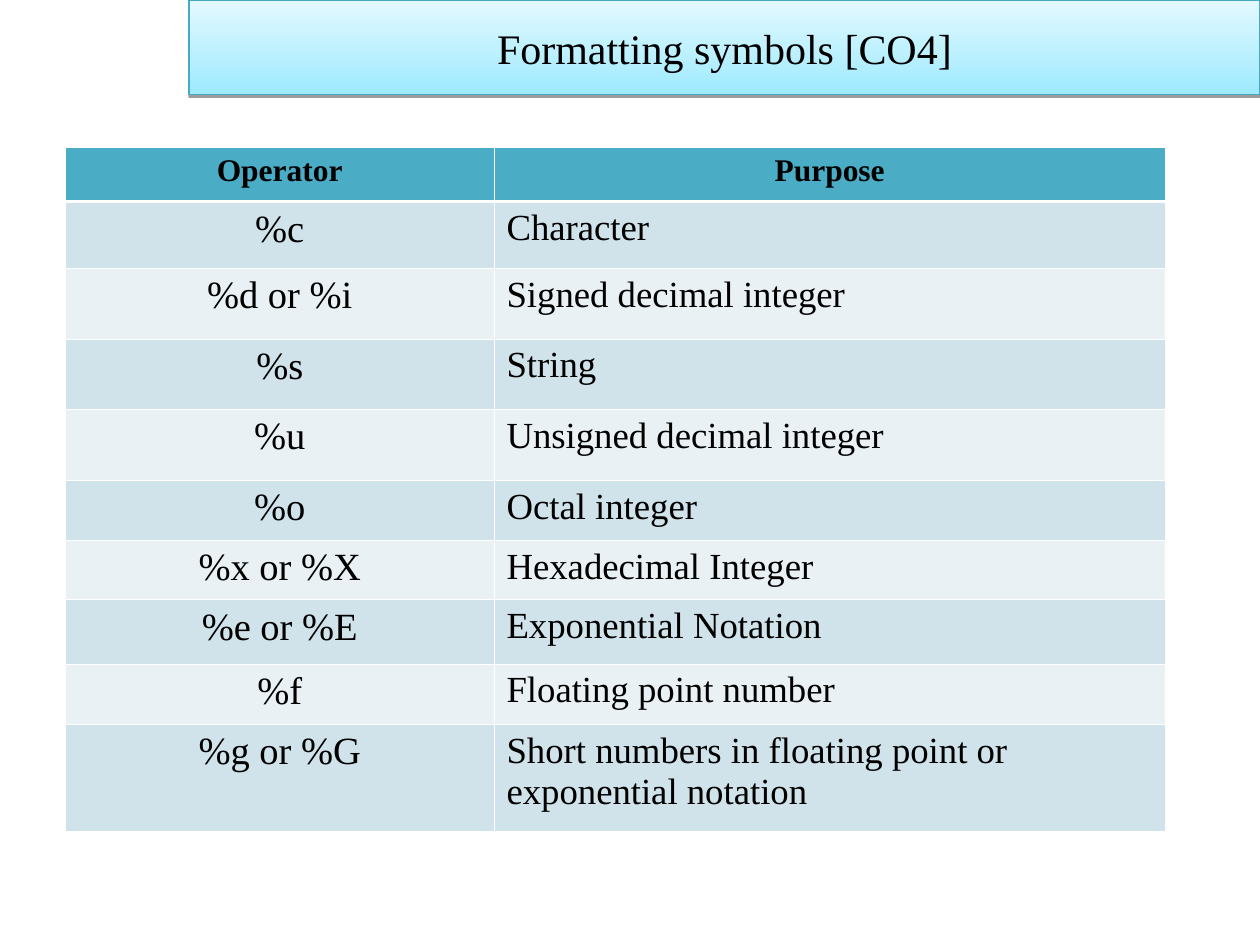
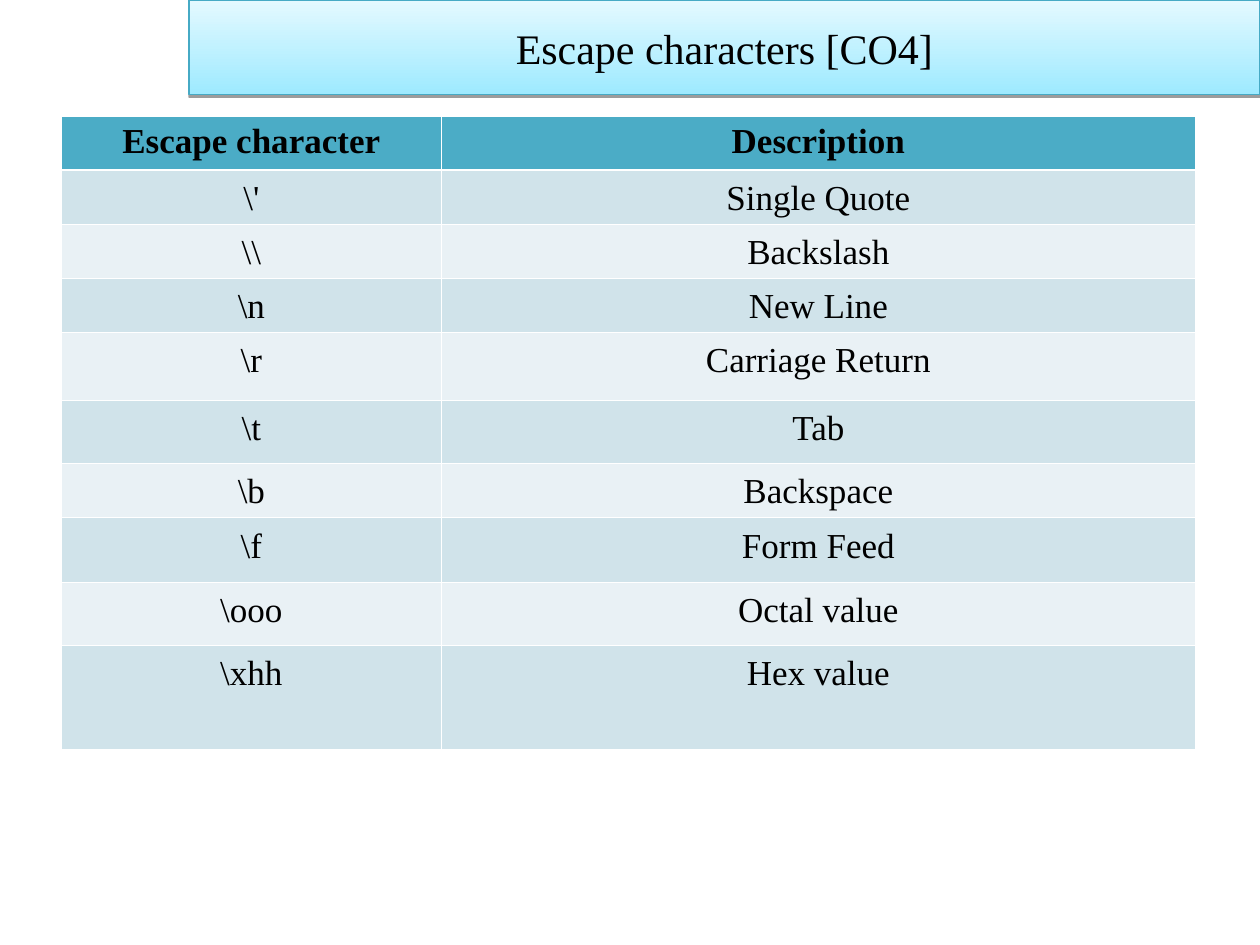
from lxml.etree import SubElement
from pptx import Presentation
from pptx.dml.color import RGBColor
from pptx.enum.text import MSO_ANCHOR, MSO_AUTO_SIZE, PP_ALIGN
from pptx.oxml import parse_xml
from pptx.oxml.ns import nsdecls, qn
from pptx.util import Inches, Pt

FONT = "Times New Roman"
COLORS = {
    "text": "000000",
    "border": "FFFFFF",
    "header": "4BACC6",
    "odd_row": "D0E3EA",
    "even_row": "E9F1F5",
    "band_bottom": "9EEAFF",
    "band_top": "E4F9FF",
    "band_line": "46AAC5",
}
THIN, THICK = 0.45, 1.47

SLIDES = [
    {
        "title": "Formatting symbols [CO4]",
        "position": (0.52, 1.17),
        "columns": (3.4, 5.33),
        "heights": (0.43, 0.53, 0.56, 0.56, 0.56, 0.48, 0.47, 0.51, 0.48, 0.85),
        "header_size": 18,
        "body_sizes": (22, 21),
        "body_aligns": (PP_ALIGN.CENTER, PP_ALIGN.LEFT),
        "body_margin": 0.1,
        "body_spacing": 1.0,
        "rows": [
            ("Operator", "Purpose"),
            ("%c", "Character"),
            ("%d or %i", "Signed decimal integer"),
            ("%s", "String"),
            ("%u", "Unsigned decimal integer"),
            ("%o", "Octal integer"),
            ("%x or %X", "Hexadecimal Integer"),
            ("%e or %E", "Exponential Notation"),
            ("%f", "Floating point number"),
            ("%g or %G", "Short numbers in floating point or exponential notation"),
        ],
    },
    {
        "title": "Escape characters [CO4]",
        "position": (0.49, 0.92),
        "columns": (3.01, 5.99),
        "heights": (0.43, 0.43, 0.43, 0.43, 0.54, 0.5, 0.43, 0.51, 0.5, 0.83),
        "header_size": 20,
        "body_sizes": (20, 20),
        "body_aligns": (PP_ALIGN.CENTER, PP_ALIGN.CENTER),
        "body_margin": 0.08,
        "body_spacing": 1.07,
        "rows": [
            ("Escape character", "Description"),
            (r"\'", "Single Quote"),
            (r"\\", "Backslash"),
            (r"\n", "New Line"),
            (r"\r", "Carriage Return"),
            (r"\t", "Tab"),
            (r"\b", "Backspace"),
            (r"\f", "Form Feed"),
            (r"\ooo", "Octal value"),
            (r"\xhh", "Hex value"),
        ],
    },
]


def color(name):
    return RGBColor.from_string(COLORS[name])


def write(para, text, size, align, bold=False):
    para.alignment = align
    span = para.add_run()
    span.text = text
    span.font.name = FONT
    span.font.size = Pt(size)
    span.font.bold = bold
    span.font.color.rgb = color("text")


def add_title_band(page, text):
    band = page.shapes.title
    band.left, band.top = Inches(1.5), Inches(0)
    band.width, band.height = Inches(8.5), Inches(0.75)
    band.fill.gradient()
    band.fill.gradient_angle = 90
    for stop, name in zip(band.fill.gradient_stops, ("band_bottom", "band_top")):
        stop.color.rgb = color(name)
    band.line.color.rgb = color("band_line")
    band.line.width = Pt(0.75)
    band.shadow.inherit = False
    effects = band._element.spPr.find(qn("a:effectLst"))
    shadow = SubElement(effects, qn("a:outerShdw"), blurRad="0",
                        dist=str(Pt(1.6)), dir="5400000", rotWithShape="0")
    shade = SubElement(shadow, qn("a:srgbClr"), val=COLORS["text"])
    SubElement(shade, qn("a:alpha"), val="38000")
    frame = band.text_frame
    frame.word_wrap = True
    frame.auto_size = MSO_AUTO_SIZE.NONE
    frame.vertical_anchor = MSO_ANCHOR.MIDDLE
    write(frame.paragraphs[0], text, 24, PP_ALIGN.CENTER)


def set_borders(cell, top, bottom):
    properties = cell._tc.get_or_add_tcPr()
    sides = (("L", THIN), ("R", THIN), ("T", top), ("B", bottom))
    for index, (side, width) in enumerate(sides):
        properties.insert(index, parse_xml(
            f'<a:ln{side} {nsdecls("a")} w="{Pt(width)}"><a:solidFill>'
            f'<a:srgbClr val="{COLORS["border"]}"/></a:solidFill></a:ln{side}>'))


def add_symbol_table(page, content):
    rows, columns, heights = content["rows"], content["columns"], content["heights"]
    left, top = content["position"]
    table = page.shapes.add_table(
        len(rows), len(columns), Inches(left), Inches(top),
        Inches(sum(columns)), Inches(sum(heights))).table
    for column, width in zip(table.columns, columns):
        column.width = Inches(width)
    for row_index, (row, height, texts) in enumerate(zip(table.rows, heights, rows)):
        row.height = Inches(height)
        header = row_index == 0
        fill = "header" if header else "odd_row" if row_index % 2 else "even_row"
        for column_index, (cell, text) in enumerate(zip(row.cells, texts)):
            cell.fill.solid()
            cell.fill.fore_color.rgb = color(fill)
            set_borders(cell, THICK if row_index == 1 else THIN,
                        THICK if header else THIN)
            cell.margin_left = cell.margin_right = Inches(
                0.1 if header else content["body_margin"])
            cell.margin_top = cell.margin_bottom = Inches(0.05)
            para = cell.text_frame.paragraphs[0]
            if header:
                write(para, text, content["header_size"], PP_ALIGN.CENTER, True)
            else:
                para.line_spacing = content["body_spacing"]
                write(para, text, content["body_sizes"][column_index],
                      content["body_aligns"][column_index])


def main():
    deck = Presentation()
    deck.slide_width, deck.slide_height = Inches(10), Inches(7.5)
    for content in SLIDES:
        page = deck.slides.add_slide(deck.slide_layouts.get_by_name("Title Only"))
        add_title_band(page, content["title"])
        add_symbol_table(page, content)
    deck.save("out.pptx")


if __name__ == "__main__":
    main()
